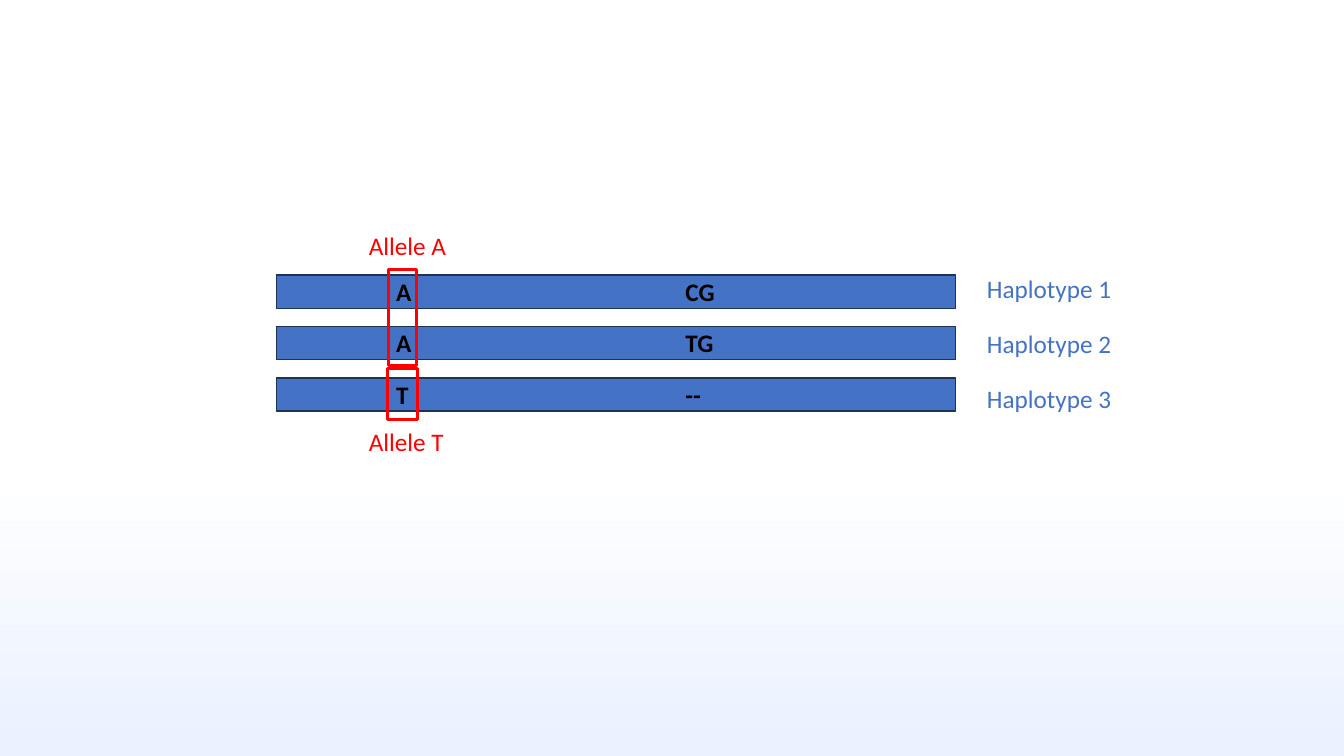
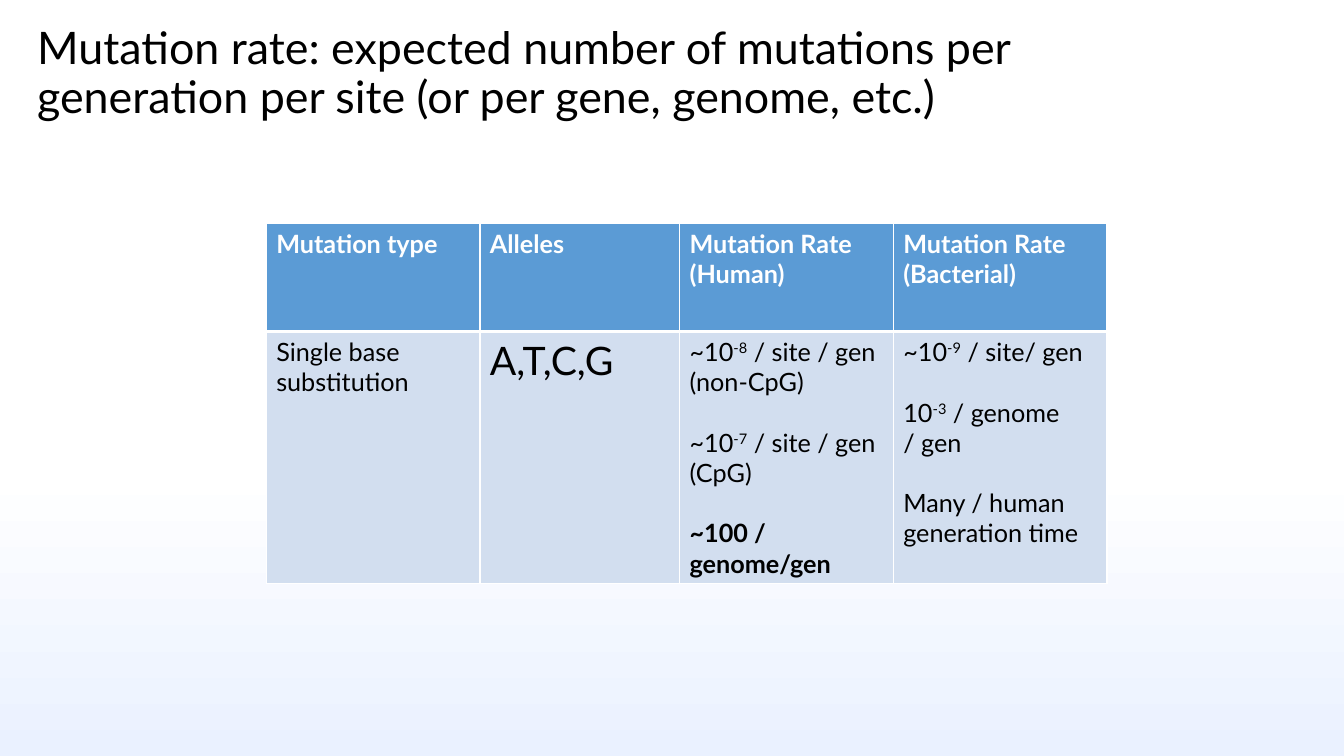
"""Build two slides on haplotypes and mutation rates."""
from lxml import etree
from pptx import Presentation, util as u
from pptx.dml.color import RGBColor
from pptx.enum import shapes, text
from pptx.oxml import ns

WIDTH, HEIGHT = 13.33, 7.5
COLORS = {"white": "FFFFFF", "mist": "EAF1FF", "black": "000000", "red": "FF0000",
          "bar": "4472C4", "bar_edge": "1E3256", "header": "5B9BD5", "body": "D2DEEF"}

HAPLOTYPES = [("Haplotype 1", "A", "CG"), ("Haplotype 2", "A", "TG"), ("Haplotype 3", "T", "--")]
BAR_LEFT, BAR_TOP, BAR_WIDTH, BAR_HEIGHT, BAR_PITCH = 2.74, 2.73, 6.74, 0.33, 0.51
NAME_LEFT, NAME_TOP, NAME_PITCH = 9.69, 2.66, 0.545
BASE_LEFT, PAIR_LEFT, BASE_RISE = 3.83, 6.7, 0.04
ALLELES = [("Allele A", 2.24, (3.85, 2.67, 0.28, 0.96)),
           ("Allele T", 4.18, (3.84, 3.66, 0.3, 0.5))]

TITLE = ("Mutation rate: expected number of mutations per generation per site "
         "(or per gene, genome, etc.)")
TABLE_LEFT, TABLE_TOP = 2.64, 2.22
COLUMNS, ROWS = [2.12, 1.98, 2.12, 2.12], [1.07, 2.5]
HEADINGS = ["Mutation type", "Alleles", "Mutation Rate (Human)", "Mutation Rate (Bacterial)"]
PLAIN, GAP, BOLD = (0, False), (21.6, False), (21.6, True)
RATES = [
    [(PLAIN, ["Single base substitution"])],
    [(PLAIN, ["A,T,C,G"])],
    [(PLAIN, ["~10", "-8", " / site / gen (non-CpG)"]),
     (GAP, ["~10", "-7", " / site / gen (CpG)"]),
     (BOLD, ["~100 / genome/gen"])],
    [(PLAIN, ["~10", "-9", " / site/ gen"]),
     (GAP, ["10", "-3", " / genome"]),
     (PLAIN, ["/ gen"]),
     (GAP, ["Many / human generation time"])],
]
BODY_SIZES = [18, 28, 18, 18]


def rgb(color):
    return RGBColor.from_string(COLORS[color])


def inches(*lengths):
    return [u.Inches(length) for length in lengths]


def style(paragraph, size, face, color, bold=False):
    font = paragraph.font
    font.size, font.name, font.bold = u.Pt(size), face, bold
    font.color.rgb = rgb(color)


def new_slide(deck):
    slide = deck.slides.add_slide(deck.slide_layouts[6])
    fill = slide.background.fill
    fill.gradient()
    fill.gradient_angle = 270
    for stop, (position, color) in zip(fill.gradient_stops, [(0.62, "white"), (1, "mist")]):
        stop.position, stop.color.rgb = position, rgb(color)
    return slide


def add_label(slide, words, left, top, width, color, bold=False):
    frame = slide.shapes.add_textbox(*inches(left, top, width, 0.4)).text_frame
    frame.word_wrap = False
    frame.auto_size = text.MSO_AUTO_SIZE.SHAPE_TO_FIT_TEXT
    frame.text = words
    style(frame.paragraphs[0], 18, "Calibri", color, bold)


def add_box(slide, bounds, edge, weight, fill=None):
    box = slide.shapes.add_shape(shapes.MSO_SHAPE.RECTANGLE, *inches(*bounds))
    box.shadow.inherit = False
    box.line.color.rgb, box.line.width = rgb(edge), u.Pt(weight)
    if fill:
        box.fill.solid()
        box.fill.fore_color.rgb = rgb(fill)
    else:
        box.fill.background()


def add_borders(cell, weights):
    properties = cell._tc.get_or_add_tcPr()
    for index, (side, weight) in enumerate(zip("LRTB", weights)):
        edge = etree.Element(ns.qn(f"a:ln{side}"), w=str(u.Pt(weight)))
        fill = etree.SubElement(edge, ns.qn("a:solidFill"))
        etree.SubElement(fill, ns.qn("a:srgbClr"), val=COLORS["white"])
        properties.insert(index, edge)


def fill_cell(cell, entries, size, color, fill, borders, header=False):
    cell.fill.solid()
    cell.fill.fore_color.rgb = rgb(fill)
    add_borders(cell, borders)
    frame = cell.text_frame
    for index, ((gap, bold), pieces) in enumerate(entries):
        paragraph = frame.add_paragraph() if index else frame.paragraphs[0]
        paragraph.space_before = u.Pt(gap)
        style(paragraph, size, "Lato", color, bold or header)
        for position, piece in enumerate(pieces):
            run = paragraph.add_run()
            run.text = piece
            if position == 1:
                run._r.get_or_add_rPr().set("baseline", "30000")


def build_haplotypes(deck):
    slide = new_slide(deck)
    for row, (name, base, pair) in enumerate(HAPLOTYPES):
        top = BAR_TOP + row * BAR_PITCH
        add_box(slide, (BAR_LEFT, top, BAR_WIDTH, BAR_HEIGHT), "bar_edge", 1, "bar")
        add_label(slide, base, BASE_LEFT, top - BASE_RISE, 0.35, "black", True)
        add_label(slide, pair, PAIR_LEFT, top - BASE_RISE, 0.49, "black", True)
        add_label(slide, name, NAME_LEFT, NAME_TOP + row * NAME_PITCH, 1.45, "bar")
    for name, top, bounds in ALLELES:
        add_box(slide, bounds, "red", 2.25)
        add_label(slide, name, 3.56, top, 0.97, "red")


def build_rates(deck):
    slide = new_slide(deck)
    frame = slide.shapes.add_textbox(*inches(0.27, 0.1, 11.5, 1.28)).text_frame
    frame.word_wrap = True
    frame.vertical_anchor = text.MSO_ANCHOR.MIDDLE
    frame.text = TITLE
    frame.paragraphs[0].line_spacing = 0.9
    style(frame.paragraphs[0], 32, "Lato", "black")

    bounds = inches(TABLE_LEFT, TABLE_TOP, sum(COLUMNS), sum(ROWS))
    table = slide.shapes.add_table(len(ROWS), len(COLUMNS), *bounds).table
    table.horz_banding = False
    for row, height in zip(table.rows, ROWS):
        row.height = u.Inches(height)
    for index, width in enumerate(COLUMNS):
        table.columns[index].width = u.Inches(width)
        fill_cell(table.cell(0, index), [(PLAIN, [HEADINGS[index]])], 18,
                  "white", "header", (1, 1, 1, 3), True)
        fill_cell(table.cell(1, index), RATES[index], BODY_SIZES[index],
                  "black", "body", (1, 1, 3, 1))


def main():
    deck = Presentation()
    deck.slide_width, deck.slide_height = inches(WIDTH, HEIGHT)
    build_haplotypes(deck)
    build_rates(deck)
    deck.save("out.pptx")


if __name__ == "__main__":
    main()
